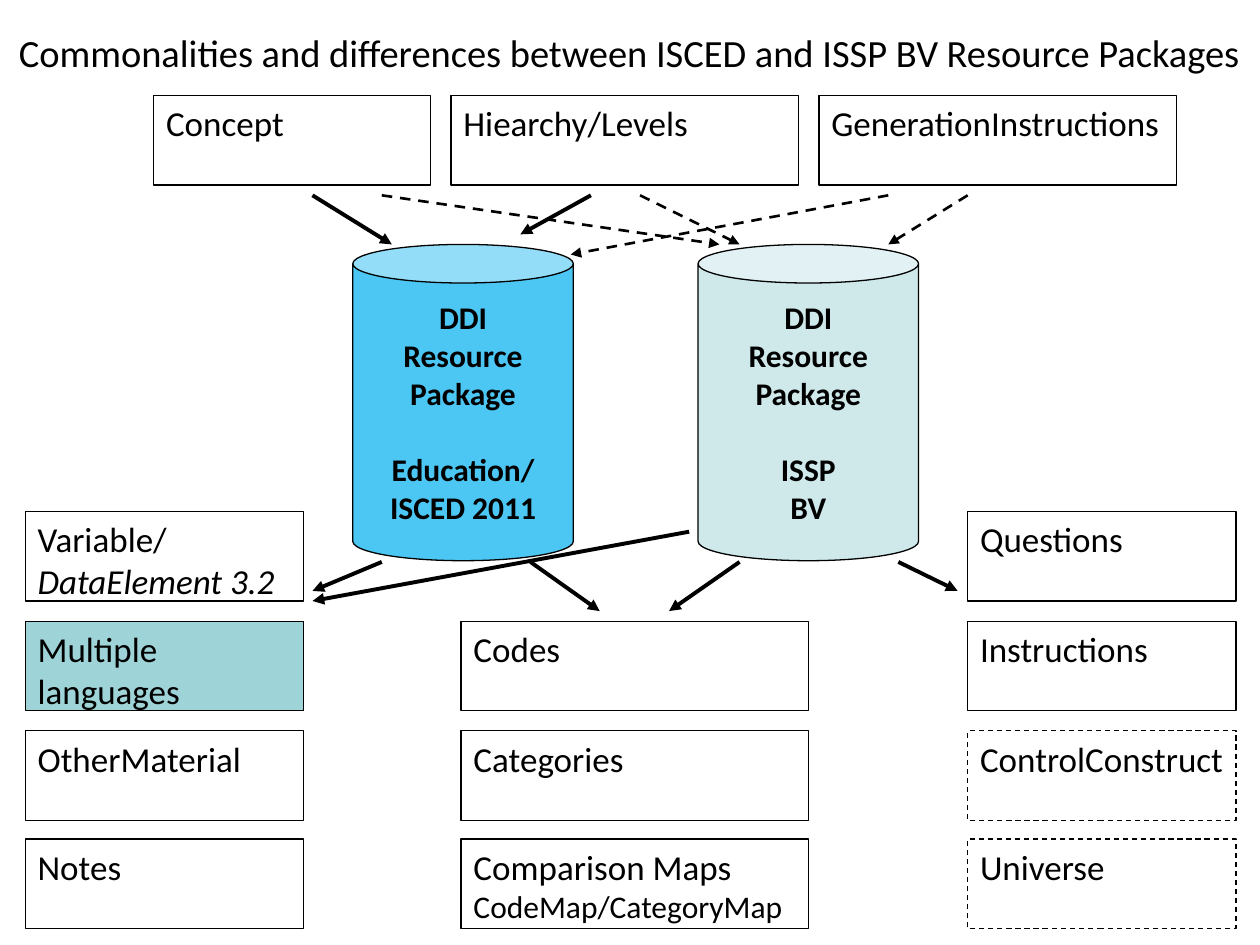
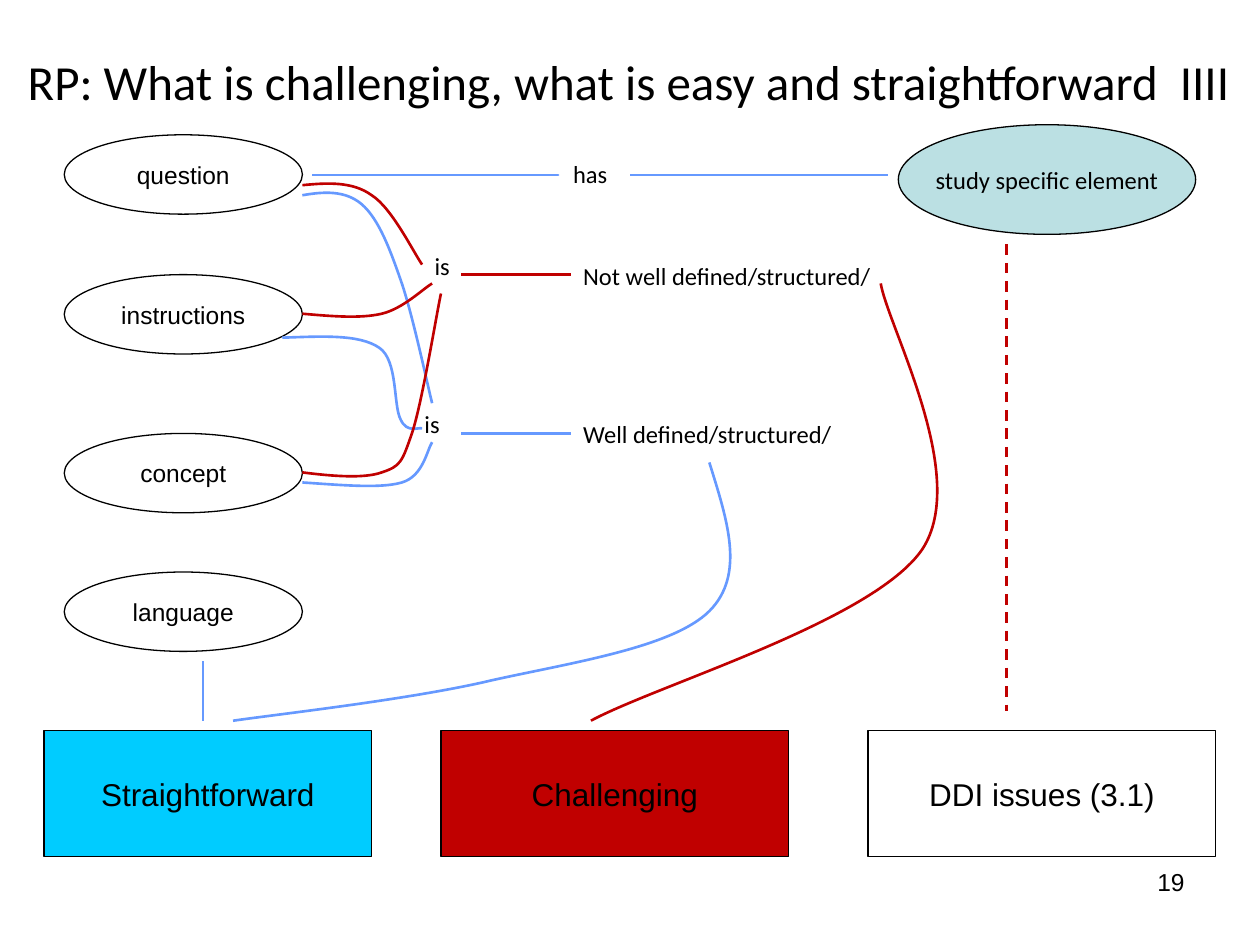
import pptx
import pptx.util
import pptx.dml.color
import pptx.enum.dml
import pptx.enum.shapes
import pptx.enum.text
import pptx.oxml.ns
from lxml import etree

Inches = pptx.util.Inches
Pt = pptx.util.Pt
RGBColor = pptx.dml.color.RGBColor
Kind = pptx.enum.shapes.MSO_SHAPE
Align = pptx.enum.text.PP_ALIGN
Anchor = pptx.enum.text.MSO_ANCHOR
DASH = pptx.enum.dml.MSO_LINE.DASH
qn = pptx.oxml.ns.qn

BLACK = RGBColor(0x00, 0x00, 0x00)
WHITE = RGBColor(0xFF, 0xFF, 0xFF)
AZURE = RGBColor(0x00, 0xB0, 0xF0)
CYAN = RGBColor(0x00, 0xCC, 0xFF)
PALE = RGBColor(0xBB, 0xE0, 0xE3)
TEAL = RGBColor(0x9E, 0xD3, 0xD7)
RED = RGBColor(0xC0, 0x00, 0x00)
BLUE = RGBColor(0x66, 0x99, 0xFF)


def put(slide, kind, box, text, size, font="Calibri", fill=None,
        align=Align.CENTER, anchor=Anchor.MIDDLE):
    """Add a shape, or a plain text box when kind is None, one paragraph a line."""
    place = [Inches(v) for v in box]
    if kind is None:
        shape = slide.shapes.add_textbox(*place)
    else:
        shape = slide.shapes.add_shape(kind, *place)
        shape.shadow.inherit = False
        shape.line.color.rgb = BLACK
        shape.line.width = Pt(0.75)
        if fill is None:
            shape.fill.background()
        else:
            shape.fill.solid()
            shape.fill.fore_color.rgb = fill
    frame = shape.text_frame
    frame.text = text
    frame.word_wrap = False
    frame.vertical_anchor = anchor
    for para in frame.paragraphs:
        para.alignment = align
        para.font.size = Pt(size)
        para.font.name = font
        para.font.color.rgb = BLACK
    return shape


def link(slide, points, color, width, dash=False, arrow=False, box=None):
    """Join two points by a connector, or more by cubic curves in an optional box."""
    ends = [(Inches(x), Inches(y)) for x, y in points]
    if len(ends) == 2:
        line = slide.shapes.add_connector(
            pptx.enum.shapes.MSO_CONNECTOR.STRAIGHT, *ends[0], *ends[1])
    else:
        pen = slide.shapes.build_freeform(*ends[0])
        pen.add_line_segments(ends[1:], close=False)
        line = pen.convert_to_shape()
        line.fill.background()
        line.shadow.inherit = False
        track = line._element.spPr.find(".//" + qn("a:path"))
        parts = track.findall(qn("a:lnTo"))
        for k in range(0, len(parts), 3):
            curve = etree.SubElement(track, qn("a:cubicBezTo"))
            for part in parts[k:k + 3]:
                curve.append(part[0])
                track.remove(part)
        if box:
            left, top, wide, high = [Inches(v) for v in box]
            for spot in track.iter(qn("a:pt")):
                spot.set("x", str(int(spot.get("x")) + line.left - left))
                spot.set("y", str(int(spot.get("y")) + line.top - top))
            track.set("w", str(wide))
            track.set("h", str(high))
            line.left, line.top, line.width, line.height = left, top, wide, high
    line.line.color.rgb = color
    line.line.width = Pt(width)
    if dash:
        line.line.dash_style = DASH
    props = line._element.spPr
    if arrow:
        etree.SubElement(props.find(qn("a:ln")), qn("a:tailEnd"), type="triangle")
    if len(ends) == 2:
        etree.SubElement(props, qn("a:effectLst"))


prs = pptx.Presentation()
prs.slide_width = Inches(10)
prs.slide_height = Inches(7.5)

# Slides with their titles
heads = [
    ("Commonalities and differences between ISCED and ISSP BV Resource Packages",
     (0.05, 0.18, 9.93, 0.47), 22),
    ("RP: What is challenging, what is easy and straightforward  IIII",
     (0.12, 0.36, 9.88, 0.57), 28),
]
slides = []
for text, box, size in heads:
    slide = prs.slides.add_slide(prs.slide_layouts[5])
    title = slide.shapes.title
    title.left, title.top, title.width, title.height = [Inches(v) for v in box]
    frame = title.text_frame
    frame.text = text
    frame.auto_size = pptx.enum.text.MSO_AUTO_SIZE.NONE
    frame.word_wrap = False
    frame.vertical_anchor = Anchor.TOP
    para = frame.paragraphs[0]
    para.alignment = Align.LEFT
    para.font.size = Pt(size)
    para.font.name = "Calibri"
    para.font.color.rgb = BLACK
    slides.append(slide)
packs, tasks = slides

# Slide 1: the two resource packages
for left, fill, topic in [(2.8, AZURE, "Education/\nISCED 2011"),
                          (5.54, PALE, "ISSP\nBV")]:
    can = put(packs, Kind.CAN, (left, 1.94, 1.75, 2.51),
              "DDI\nResource\nPackage\n" + topic, 18, fill=fill)
    can.adjustments[0] = 0.175
    tint = can._element.spPr.find(qn("a:solidFill"))[0]
    etree.SubElement(tint, qn("a:alpha"), val="70000")
    for para in can.text_frame.paragraphs:
        para.font.bold = True
    can.text_frame.paragraphs[3].space_before = Pt(22)

# Slide 1: the elements above and below them
cells = [
    (1.22, 0.76, 2.2, WHITE, "Concept"),
    (3.58, 0.76, 2.76, WHITE, "Hiearchy/Levels"),
    (6.5, 0.76, 2.84, WHITE, "GenerationInstructions"),
]
stacks = [
    (0.2, 2.21, None, ["Variable/\nDataElement 3.2", "Multiple\nlanguages",
                       "OtherMaterial", "Notes"]),
    (3.66, 2.76, None, [None, "Codes", "Categories",
                        "Comparison Maps\nCodeMap/CategoryMap"]),
    (7.68, 2.13, WHITE, ["Questions", "Instructions", "ControlConstruct",
                         "Universe"]),
]
tops = [4.06, 4.93, 5.8, 6.66]
for left, width, fill, names in stacks:
    cells += [(left, top, width, fill, name)
              for top, name in zip(tops, names) if name]
for left, top, width, fill, name in cells:
    if name.startswith("Multiple"):
        fill = TEAL
    cell = put(packs, Kind.RECTANGLE, (left, top, width, 0.71), name, 20,
               fill=fill, align=Align.LEFT, anchor=Anchor.TOP)
    last = cell.text_frame.paragraphs[-1]
    if name.startswith("Variable"):
        last.font.italic = True
    elif name.startswith("Comparison"):
        last.font.size = Pt(18)
    elif name in ("ControlConstruct", "Universe"):
        cell.line.dash_style = DASH

solid = [
    ((7.13, 4.46), (7.6, 4.69)),
    ((5.87, 4.46), (5.31, 4.85)),
    ((4.21, 4.46), (4.76, 4.85)),
    ((3.03, 4.46), (2.48, 4.69)),
    ((5.47, 4.22), (2.48, 4.77)),
    ((2.48, 1.55), (3.11, 1.94)),
    ((4.69, 1.55), (4.13, 1.86)),
]
dashed = [
    ((7.05, 1.55), (4.53, 2.02)),
    ((3.03, 1.55), (5.71, 1.94)),
    ((5.08, 1.55), (5.87, 1.94)),
    ((7.68, 1.55), (7.05, 1.94)),
]
for ends in solid:
    link(packs, ends, BLACK, 2.25, arrow=True)
for ends in dashed:
    link(packs, ends, BLACK, 1.5, dash=True, arrow=True)

# Slide 2: outcomes, elements and labels
for left, width, name, fill in [(0.35, 2.6, "Straightforward", CYAN),
                                (3.5, 2.76, "Challenging", RED),
                                (6.89, 2.76, "DDI issues (3.1)", None)]:
    put(tasks, Kind.RECTANGLE, (left, 5.8, width, 1), name, 18, "Arial", fill)

for top, name in [(1.07, "question"), (2.18, "instructions"),
                  (3.44, "concept"), (4.54, "language")]:
    put(tasks, Kind.OVAL, (0.51, top, 1.89, 0.63), name, 14, "Arial")
put(tasks, Kind.OVAL, (7.13, 0.99, 2.36, 0.87), "study specific element", 14,
    fill=PALE)

for left, top, width, name in [
        (4.45, 1.21, 0.47, "has"),
        (3.35, 1.94, 0.32, "is"),
        (3.27, 3.2, 0.92, "is"),
        (4.53, 2.02, 2.49, "Not well defined/structured/"),
        (4.53, 3.28, 2.19, "Well defined/structured/")]:
    label = put(tasks, None, (left, top, width, 0.34), name, 14,
                align=Align.LEFT, anchor=Anchor.TOP)
    label.text_frame.word_wrap = width == 0.92
put(tasks, None, (7.17, 6.83, 2.33, 0.52), "19", 14, "Arial",
    align=Align.RIGHT, anchor=Anchor.TOP).text_frame.word_wrap = True

# Slide 2: level and upright links, then curved ones
link(tasks, [(1.61, 5.25), (1.61, 5.44), (1.61, 5.64), (1.61, 5.72)],
     BLUE, 1.5, box=(1.54, 5.25, 0.08, 0.47))
link(tasks, [(2.48, 1.39), (3.24, 1.39), (3.99, 1.39), (4.28, 1.39),
             (4.57, 1.39), (4.38, 1.39), (4.2, 1.39)],
     BLUE, 1.5, box=(2.48, 1.31, 2.09, 0.08))
link(tasks, [(7.99, 1.94), (7.99, 3.48), (7.99, 5.02), (7.99, 5.64)],
     RED, 1.5, dash=True, box=(7.99, 1.94, 0.16, 3.7))
easy = [
    [(5, 1.39), (7.05, 1.39)],
    [(3.66, 3.44), (4.53, 3.44)],
    [(5.63, 3.67), (5.77, 4.12), (5.92, 4.56), (5.63, 4.85), (5.34, 5.14),
     (4.53, 5.26), (3.9, 5.4), (3.27, 5.55), (2.19, 5.67), (1.85, 5.72)],
    [(2.4, 1.55), (2.57, 1.52), (2.74, 1.51), (2.87, 1.62), (3.01, 1.74),
     (3.1, 1.99), (3.19, 2.25), (3.28, 2.52), (3.39, 3.04), (3.43, 3.2)],
    [(2.4, 3.83), (2.71, 3.85), (3.02, 3.88), (3.19, 3.83), (3.36, 3.78),
     (3.39, 3.57), (3.43, 3.51)],
    [(2.24, 2.68), (2.55, 2.67), (2.85, 2.65), (3.01, 2.76), (3.16, 2.86),
     (3.12, 3.22), (3.18, 3.33), (3.23, 3.44), (3.32, 3.39), (3.35, 3.4)],
]
hard = [
    [(3.66, 2.18), (4.53, 2.18)],
    [(6.99, 2.25), (7.05, 2.6), (7.7, 3.78), (7.32, 4.36), (6.93, 4.93),
     (5.23, 5.43), (4.69, 5.72)],
    [(2.4, 1.47), (2.6, 1.45), (2.8, 1.44), (2.95, 1.55), (3.11, 1.65),
     (3.28, 2), (3.35, 2.1)],
    [(2.4, 3.75), (2.64, 3.78), (2.89, 3.8), (3.03, 3.75), (3.18, 3.7),
     (3.19, 3.67), (3.27, 3.44), (3.35, 3.2), (3.46, 2.52), (3.5, 2.33)],
    [(2.4, 2.49), (2.63, 2.51), (2.86, 2.53), (3.03, 2.49), (3.2, 2.45),
     (3.36, 2.29), (3.43, 2.25)],
]
for color, curves in [(BLUE, easy), (RED, hard)]:
    for points in curves:
        link(tasks, points, color, 1.5)

prs.save("out.pptx")
